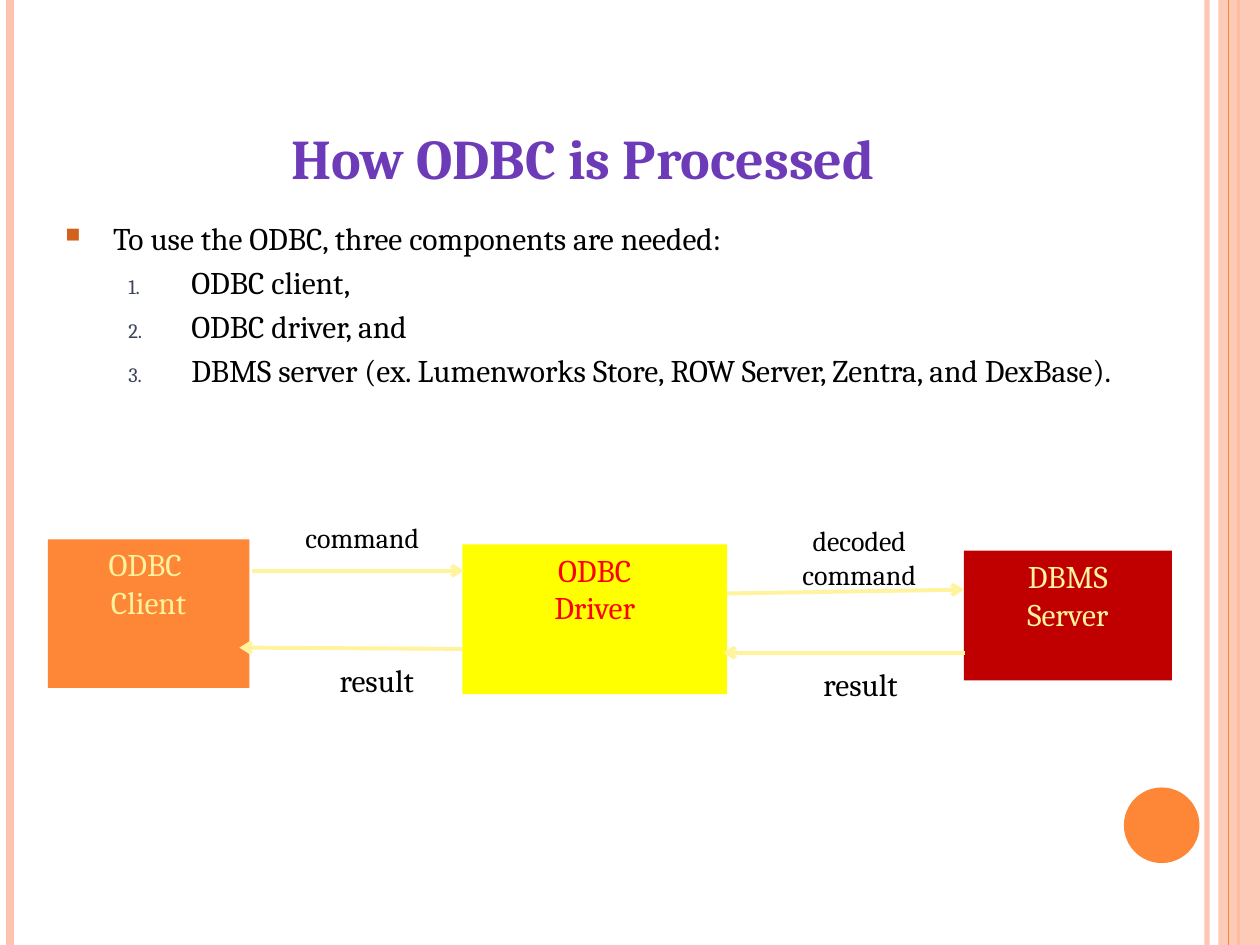
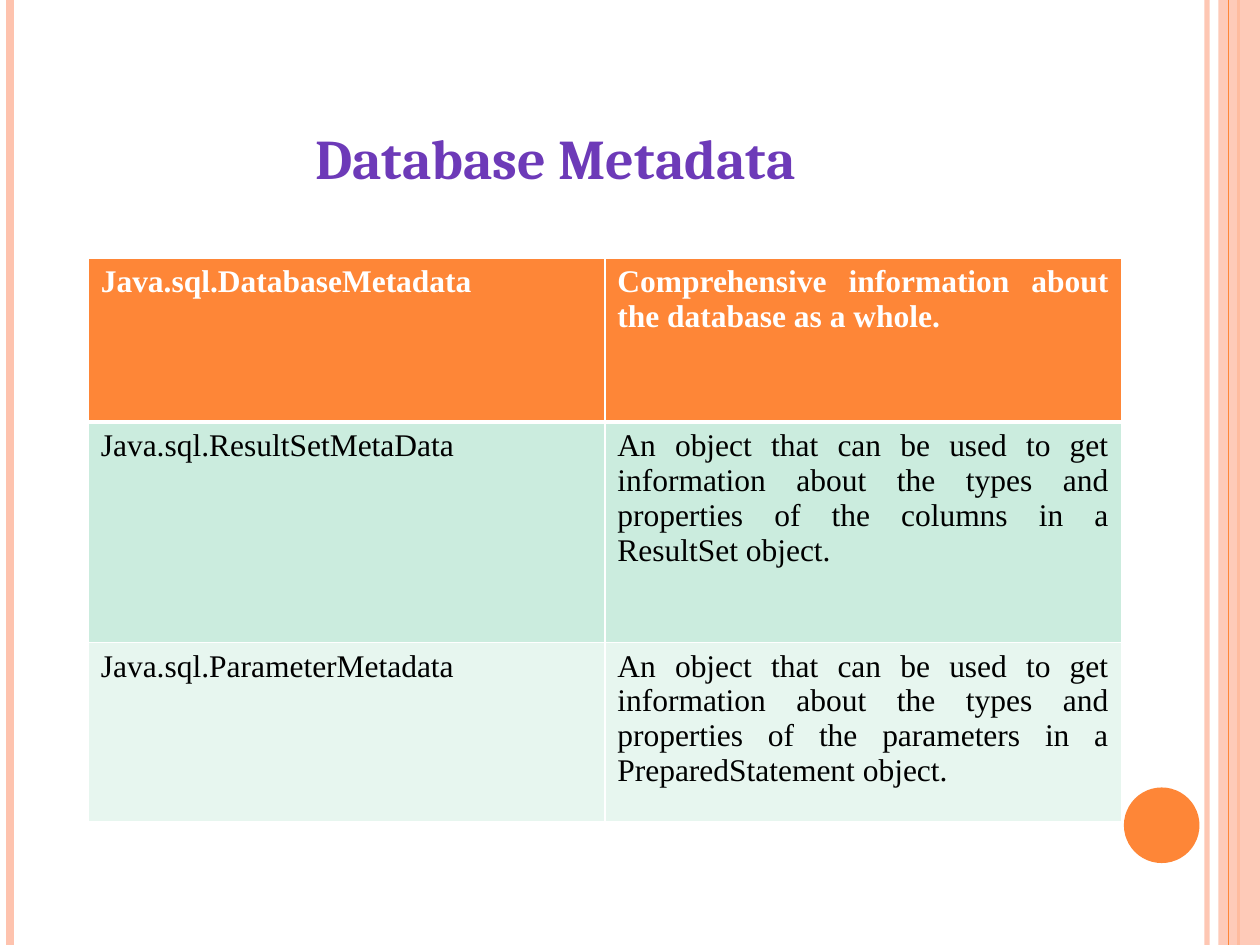
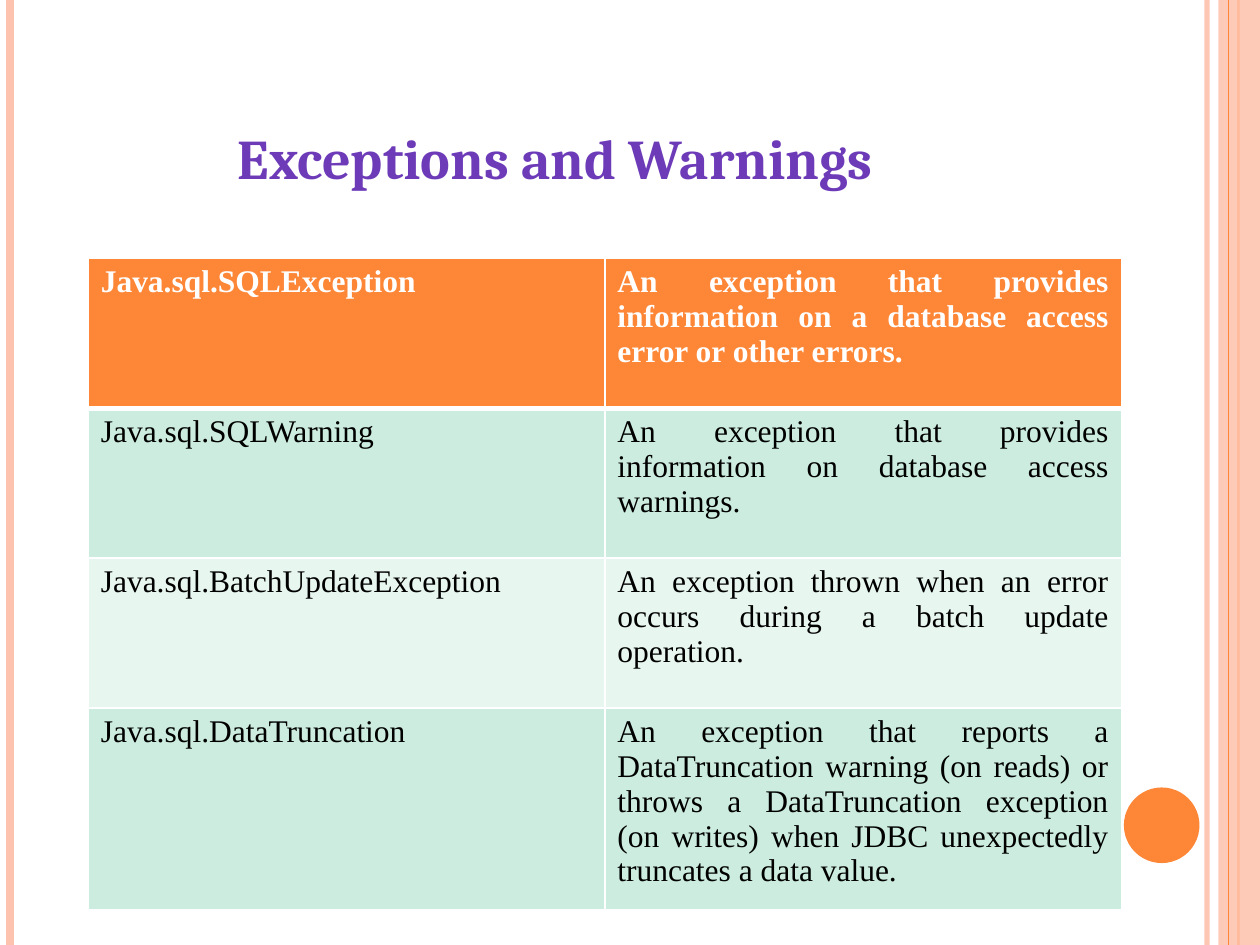
from lxml import etree
from pptx import Presentation
from pptx import util as u
from pptx.dml.color import RGBColor
from pptx.enum import shapes, text
from pptx.oxml.ns import qn

PX = 9144  # EMU per px, 100 px to the inch
WIDTH, HEIGHT = 1000, 750

WHITE = RGBColor(0xFF, 0xFF, 0xFF)
BLACK = RGBColor(0, 0, 0)
ORANGE = RGBColor(0xFE, 0x86, 0x37)
PEACH = RGBColor(0xFE, 0xC3, 0xAE)
PURPLE = RGBColor(0x6D, 0x3A, 0xB8)
CREAM = RGBColor(0xFF, 0xF3, 0x9D)
YELLOW = RGBColor(0xFF, 0xFF, 0x00)
RED = RGBColor(0xFF, 0, 0)
DARK_RED = RGBColor(0xC0, 0, 0)
RUST = RGBColor(0xD2, 0x61, 0x1C)
SLATE = RGBColor(0x3B, 0x43, 0x5B)
MINT = RGBColor(0xCB, 0xEC, 0xDE)
PALE_MINT = RGBColor(0xE7, 0xF6, 0xEF)

ALIGN = text.PP_ALIGN
HEADING_FONT, TABLE_FONT = "Cambria", "Times New Roman"


def px(*values):
    return [u.Emu(v * PX) for v in values]


def add_xml(parent, tag, **attrs):
    return etree.SubElement(parent, qn(tag), {k: str(v) for k, v in attrs.items()})


def set_opacity(shape, percent):
    for clr in shape._element.spPr.iter(qn("a:srgbClr")):
        add_xml(clr, "a:alpha", val=percent * 1000)


def write(tf, content, size=18, font=HEADING_FONT, color=BLACK, bold=False,
          align=ALIGN.CENTER, anchor=text.MSO_ANCHOR.TOP):
    """Fill a text frame, one paragraph per line, and return the paragraphs."""
    tf.word_wrap = True
    tf.vertical_anchor = anchor
    for i, line in enumerate(content.split("\n")):
        p = tf.add_paragraph() if i else tf.paragraphs[0]
        p.alignment = align
        r = p.add_run()
        r.text = line
        r.font.size, r.font.name, r.font.bold = u.Pt(size), font, bold
        r.font.color.rgb = color
    return tf.paragraphs


def set_bullet(p, left, hang, color, kind, **attrs):
    p.space_before = u.Pt(3.6)
    pPr = p._p.get_or_add_pPr()
    pPr.set("marL", str(left * PX))
    pPr.set("indent", str(-hang * PX))
    add_xml(add_xml(pPr, "a:buClr"), "a:srgbClr", val=color)
    add_xml(pPr, "a:buSzPct", val=65000)
    add_xml(pPr, kind, **attrs)


def set_borders(cell, top, bottom):
    tcPr = cell._tc.get_or_add_tcPr()
    for i, (side, width) in enumerate(zip("LRTB", (1, 1, top, bottom))):
        ln = add_xml(tcPr, "a:ln" + side, w=u.Pt(width))
        add_xml(add_xml(ln, "a:solidFill"), "a:srgbClr", val=WHITE)
        tcPr.insert(i, ln)


class Deck:
    def __init__(self):
        self.prs = Presentation()
        self.prs.slide_width, self.prs.slide_height = px(WIDTH, HEIGHT)
        self.s = None

    def slide(self, title, left, width):
        self.s = self.prs.slides.add_slide(self.prs.slide_layouts[6])
        # Side bands and page disc
        set_opacity(self.line(958, 0, 958, HEIGHT, PEACH, 3), 93)
        self.line(8, 0, 8, HEIGHT, PEACH, 4.5)
        self.line(983, 0, 983, HEIGHT, ORANGE, 1.5)
        set_opacity(self.shape(967, 0, 33, HEIGHT, PEACH), 87)
        self.line(975, 0, 975, HEIGHT, ORANGE, 0.75)
        self.shape(892, 625, 60, 60, ORANGE, shapes.MSO_SHAPE.OVAL)
        # Title
        self.text(left, 91, width, 67, title, size=32, color=PURPLE, bold=True,
                  anchor=text.MSO_ANCHOR.MIDDLE)

    def line(self, x1, y1, x2, y2, color, width, arrow=False):
        c = self.s.shapes.add_connector(shapes.MSO_CONNECTOR.STRAIGHT,
                                        *px(x1, y1, x2, y2))
        c.line.color.rgb = color
        c.line.width = u.Pt(width)
        if arrow:
            add_xml(c.line._get_or_add_ln(), "a:tailEnd", type="arrow")
        add_xml(c._element.spPr, "a:effectLst")
        return c

    def shape(self, x, y, w, h, fill, kind=shapes.MSO_SHAPE.RECTANGLE):
        sp = self.s.shapes.add_shape(kind, *px(x, y, w, h))
        sp.shadow.inherit = False
        sp.fill.solid()
        sp.fill.fore_color.rgb = fill
        sp.line.fill.background()
        return sp

    def box(self, x, y, w, h, content, fill, color):
        write(self.shape(x, y, w, h, fill).text_frame, content, color=color)

    def text(self, x, y, w, h, content, **fmt):
        tf = self.s.shapes.add_textbox(*px(x, y, w, h)).text_frame
        return write(tf, content, **fmt)

    def table(self, x, y, col_width, heights, rows):
        cols = len(rows[0])
        t = self.s.shapes.add_table(len(rows), cols,
                                    *px(x, y, cols * col_width, sum(heights))).table
        for col in t.columns:
            col.width = px(col_width)[0]
        for i, (height, row) in enumerate(zip(heights, rows)):
            t.rows[i].height = px(height)[0]
            header = i == 0
            fill = ORANGE if header else (PALE_MINT, MINT)[i % 2]
            for j, content in enumerate(row):
                cell = t.cell(i, j)
                cell.fill.solid()
                cell.fill.fore_color.rgb = fill
                set_borders(cell, 3 if i == 1 else 1, 3 if header else 1)
                write(cell.text_frame, content, font=TABLE_FONT, bold=header,
                      color=WHITE if header else BLACK, align=ALIGN.JUSTIFY)


def odbc_slide(d):
    d.slide("How ODBC is Processed", 60, 806)

    # Components
    intro, *components = d.text(
        42, 169, 917, 256,
        "To use the ODBC, three components are needed:\n"
        "ODBC client,\n"
        "ODBC driver, and\n"
        "DBMS server (ex. Lumenworks Store, ROW Server, Zentra, and DexBase).",
        align=ALIGN.JUSTIFY)
    set_bullet(intro, 38, 38, RUST, "a:buChar", char="■")
    for p in components:
        p.level = 1
        set_bullet(p, 100, 50, SLATE, "a:buAutoNum", type="arabicPeriod")

    # Client, driver and server
    d.box(367, 432, 210, 119, "ODBC\nDriver", YELLOW, RED)
    d.box(38, 428, 160, 118, "ODBC \nClient", ORANGE, CREAM)
    d.box(765, 437, 165, 103, "DBMS\nServer", DARK_RED, CREAM)

    # Commands go right, results come back
    for ends in ((200, 453, 368, 453), (577, 471, 765, 468),
                 (766, 518, 574, 518), (367, 515, 190, 514)):
        d.line(*ends, CREAM, 2.25, arrow=True)
    d.text(225, 408, 125, 37, "command", size=16)
    d.text(614, 411, 136, 64, "decoded command", size=16)
    d.text(628, 523, 110, 50, "result")
    d.text(244, 520, 110, 50, "result")


def table_slide(d, title, heights, rows):
    d.slide(title, 17, 848)
    d.table(70, 205, 410, heights, rows)


def main():
    d = Deck()
    odbc_slide(d)
    table_slide(d, "Database Metadata", (130, 175, 142), (
        ("Java.sql.DatabaseMetadata",
         "Comprehensive information about the database as a whole."),
        ("Java.sql.ResultSetMetaData",
         "An object that can be used to get information about the types and "
         "properties of the columns in a ResultSet object."),
        ("Java.sql.ParameterMetadata",
         "An object that can be used to get information about the types and "
         "properties of the parameters in a PreparedStatement object."),
    ))
    table_slide(d, "Exceptions and Warnings", [119] * 4, (
        ("Java.sql.SQLException",
         "An exception that provides information on a database access error "
         "or other errors."),
        ("Java.sql.SQLWarning",
         "An exception that provides information on database access warnings."),
        ("Java.sql.BatchUpdateException",
         "An exception thrown when an error occurs during a batch update "
         "operation."),
        ("Java.sql.DataTruncation",
         "An exception that reports a DataTruncation warning (on reads) or "
         "throws a DataTruncation exception (on writes) when JDBC "
         "unexpectedly truncates a data value."),
    ))
    d.prs.save("out.pptx")


if __name__ == "__main__":
    main()
